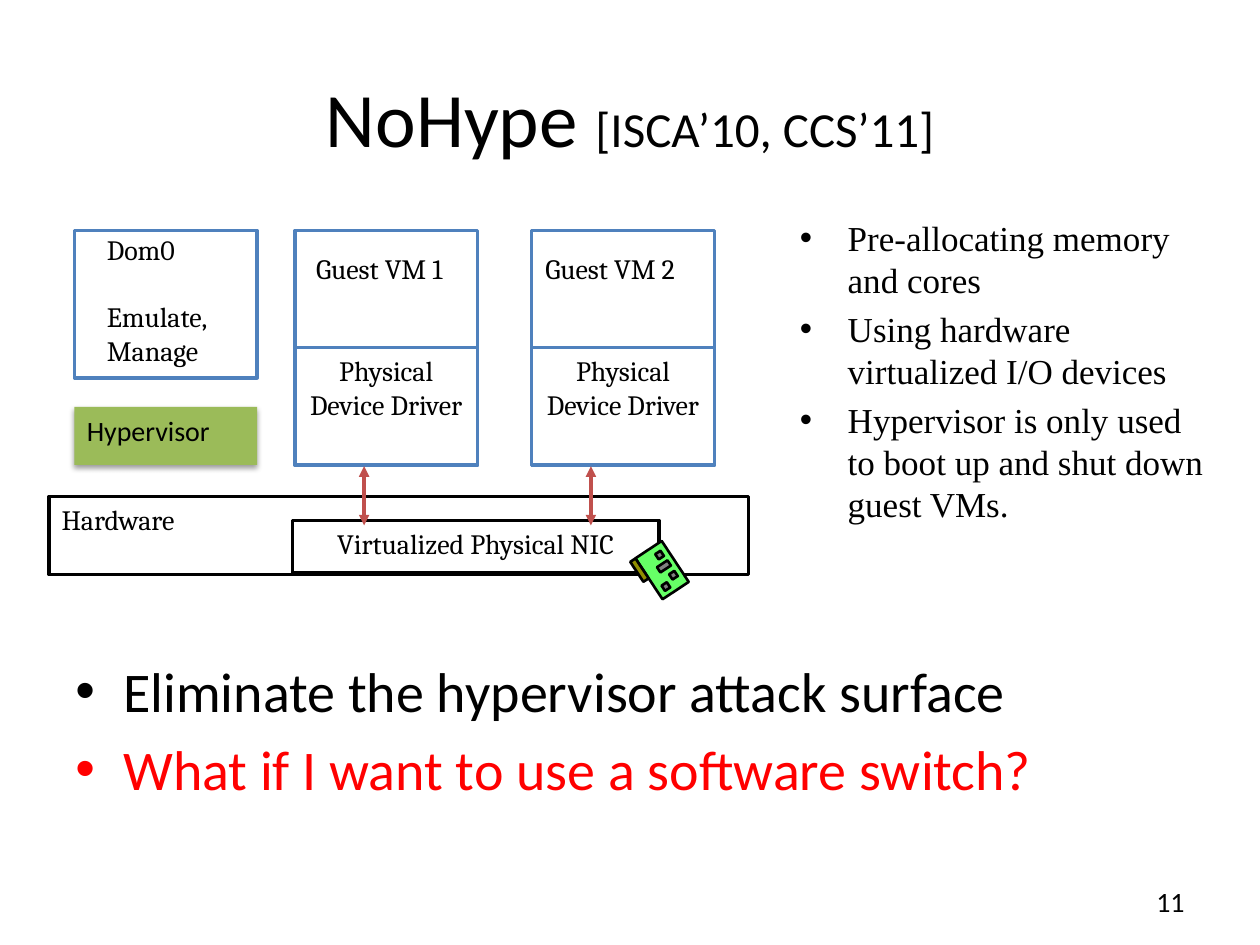
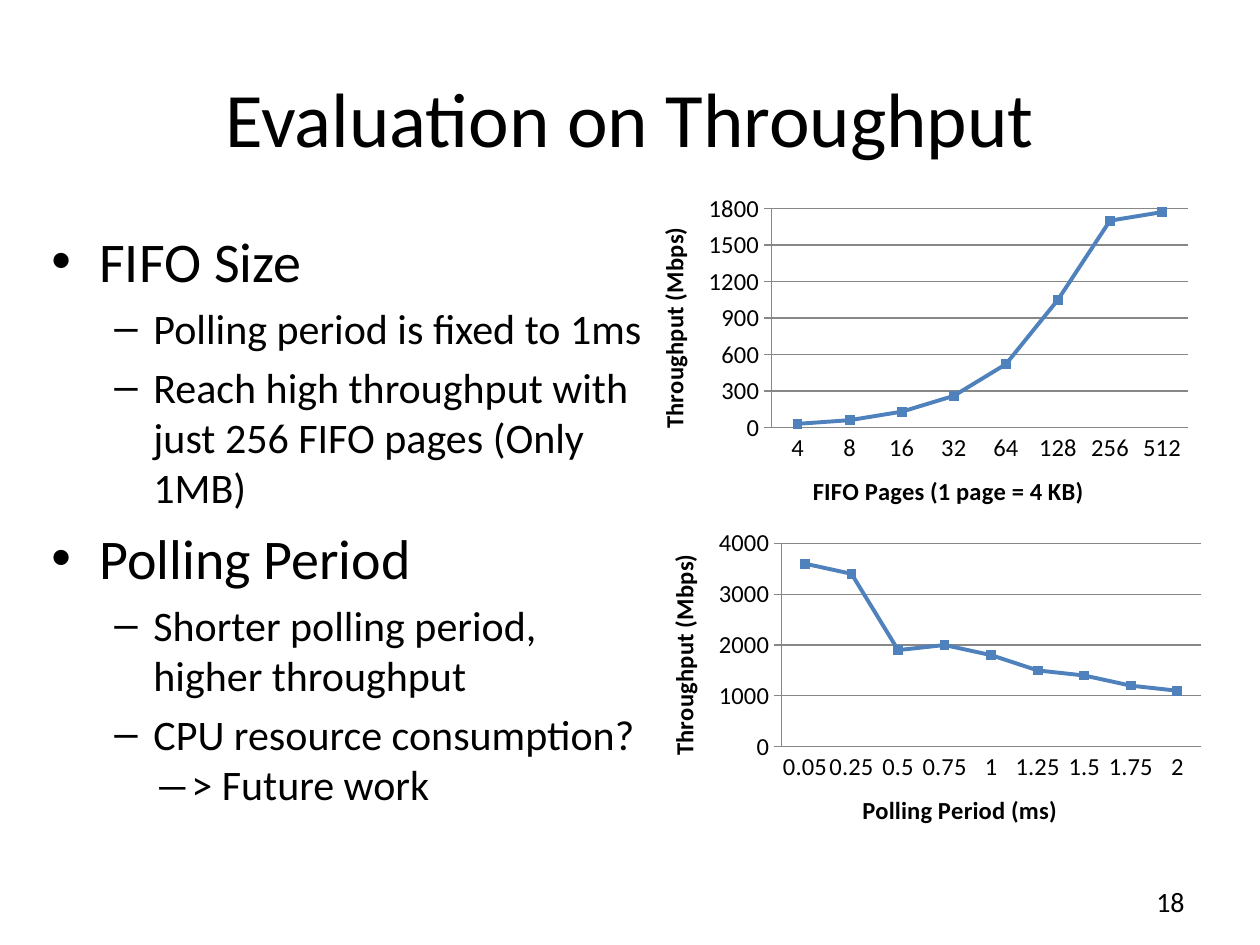
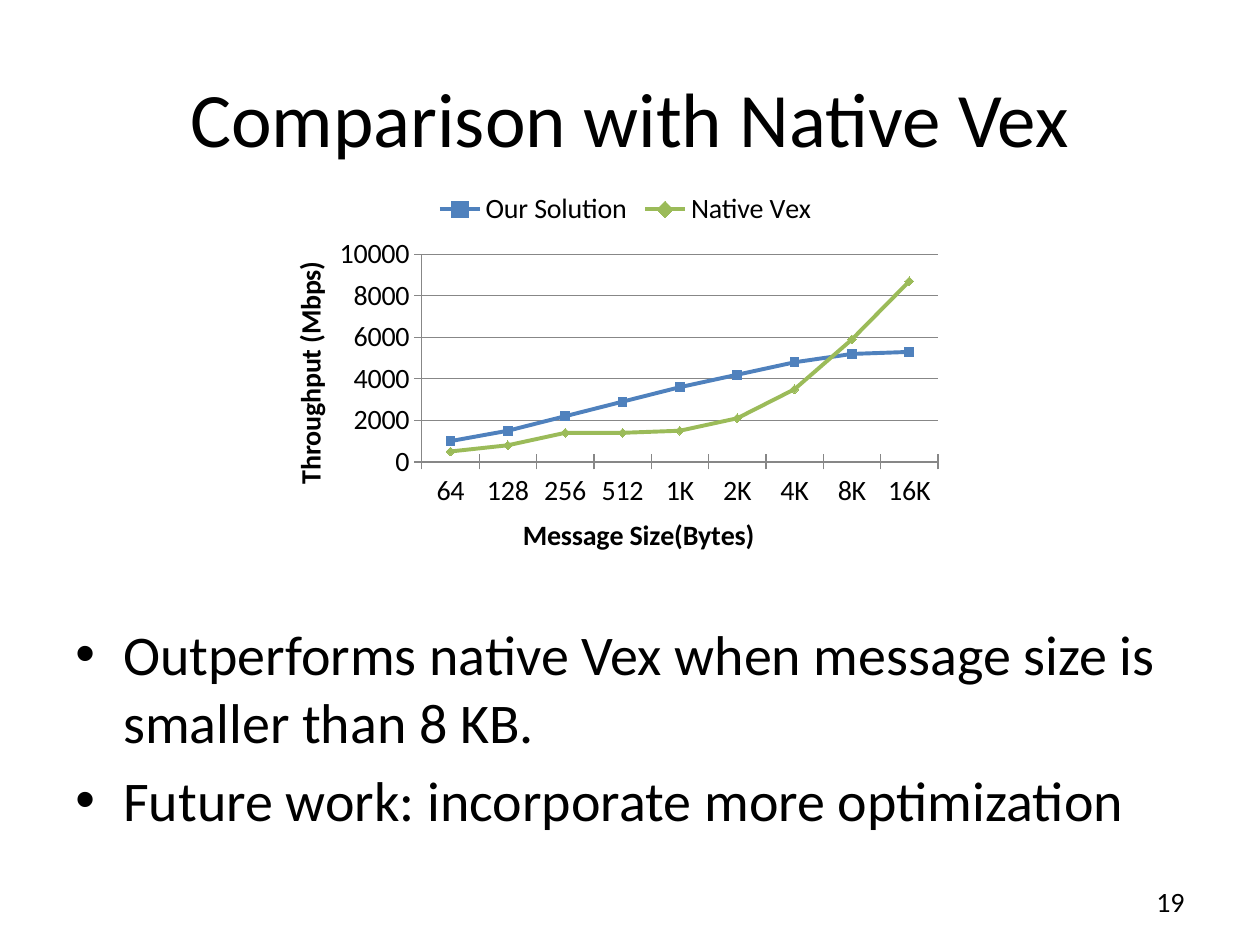
from lxml import etree
from pptx import Presentation
from pptx import util as u
from pptx.chart import data as chart_data
from pptx.dml import color
from pptx.enum import chart as chart_enum
from pptx.enum import shapes, text
from pptx.oxml import ns

BLACK = color.RGBColor(0x00, 0x00, 0x00)
WHITE = color.RGBColor(0xFF, 0xFF, 0xFF)
RED = color.RGBColor(0xFF, 0x00, 0x00)
BLUE = color.RGBColor(0x4F, 0x81, 0xBD)
GREEN = color.RGBColor(0x9B, 0xBB, 0x59)
BRICK = color.RGBColor(0xC0, 0x50, 0x4D)
AXIS_GRAY = color.RGBColor(0x87, 0x87, 0x87)
CARD_GREEN = color.RGBColor(0x66, 0xFF, 0x66)
CARD_OLIVE = color.RGBColor(0x91, 0x8E, 0x00)
CHIP_GRAY = color.RGBColor(0x80, 0x80, 0x80)

SANS, SERIF, TIMES = "Calibri", "Cambria", "Times New Roman"
LABEL_SIZE = 16
BULLET_LEVELS = [(0.38, -0.38, "•"), (0.81, -0.31, "–")]
CARD_ROTATION = 326.6
CENTER, RIGHT = text.PP_ALIGN.CENTER, text.PP_ALIGN.RIGHT


def inches(*lengths):
    return [u.Inches(length) for length in lengths]


def add_xml(parent, tag, **attributes):
    return etree.SubElement(parent, ns.qn(tag), attributes)


class Deck:
    def __init__(self):
        self.presentation = Presentation()
        self.presentation.slide_width, self.presentation.slide_height = inches(10, 7.5)
        self.slide = None

    def style(self, font, size, font_color=BLACK, name=SANS):
        font.size = u.Pt(size)
        font.name = name
        font.color.rgb = font_color

    def start_slide(self, title, number, citation=None):
        self.slide = self.presentation.slides.add_slide(self.presentation.slide_layouts[5])
        shape = self.slide.shapes.title
        shape.left, shape.top, shape.width, shape.height = inches(0.5, 0.3, 9, 1.25)
        shape.text_frame.vertical_anchor = text.MSO_ANCHOR.MIDDLE
        paragraph = shape.text_frame.paragraphs[0]
        paragraph.alignment = CENTER
        self.style(paragraph.font, 44)
        paragraph.add_run().text = title
        if citation:
            run = paragraph.add_run()
            run.text = citation
            run.font.size = u.Pt(28)
        page = self.label((7.17, 6.95, 2.33, 0.4), str(number), SANS, RIGHT)
        page.text_frame.vertical_anchor = text.MSO_ANCHOR.MIDDLE

    def set_words(self, shape, words, name, alignment=None):
        shape.text_frame.word_wrap = True
        shape.text_frame.text = words
        for paragraph in shape.text_frame.paragraphs:
            paragraph.alignment = alignment
            self.style(paragraph.font, LABEL_SIZE, name=name)

    def label(self, box, words, name=SERIF, alignment=None):
        shape = self.slide.shapes.add_textbox(*inches(*box))
        self.set_words(shape, words, name, alignment)
        return shape

    def bullets(self, box, items, sizes=(32, 24), name=SANS):
        frame = self.slide.shapes.add_textbox(*inches(*box)).text_frame
        frame.word_wrap = True
        for index, (level, words, font_color) in enumerate(items):
            paragraph = frame.add_paragraph() if index else frame.paragraphs[0]
            paragraph.text = words
            paragraph.level = level
            paragraph.space_before = u.Pt(sizes[level] * 0.2 if index else 0)
            self.style(paragraph.font, sizes[level], font_color, name)
            margin, indent, mark = BULLET_LEVELS[level]
            properties = paragraph._p.get_or_add_pPr()
            properties.set("marL", str(u.Inches(margin)))
            properties.set("indent", str(u.Inches(indent)))
            bullet_font = etree.Element(ns.qn("a:buFont"), typeface="Arial")
            bullet_mark = etree.Element(ns.qn("a:buChar"), char=mark)
            properties.find(ns.qn("a:defRPr")).addprevious(bullet_font)
            bullet_font.addnext(bullet_mark)

    def box(self, box, fill=WHITE, line=BLUE, words="", name=SERIF, alignment=None,
            weight=2, rotation=0):
        shape = self.slide.shapes.add_shape(shapes.MSO_SHAPE.RECTANGLE, *inches(*box))
        shape.shadow.inherit = False
        shape.rotation = rotation
        shape.fill.solid()
        shape.fill.fore_color.rgb = fill
        if line is None:
            shape.line.fill.background()
        else:
            shape.line.color.rgb = line
            shape.line.width = u.Pt(weight)
        if words:
            shape.text_frame.vertical_anchor = text.MSO_ANCHOR.TOP
            self.set_words(shape, words, name, alignment or text.PP_ALIGN.LEFT)
        return shape

    def drop_shadow(self, shape):
        effects = shape._element.spPr.find(ns.qn("a:effectLst"))
        shadow = add_xml(effects, "a:outerShdw", blurRad="40000", dist="20000",
                         dir="5400000", rotWithShape="0")
        shade = add_xml(shadow, "a:srgbClr", val=str(BLACK))
        add_xml(shade, "a:alpha", val="38000")

    def double_arrow(self, x, top, bottom):
        connector = self.slide.shapes.add_connector(
            shapes.MSO_CONNECTOR.STRAIGHT, *inches(x, top, x, bottom))
        connector.line.color.rgb = BRICK
        connector.line.width = u.Pt(2)
        line = connector.line._get_or_add_ln()
        add_xml(line, "a:headEnd", type="triangle")
        add_xml(line, "a:tailEnd", type="triangle")
        add_xml(connector._element.spPr, "a:effectLst")

    def line_chart(self, box, categories, series, category_title, size=14,
                   category_tick=chart_enum.XL_TICK_MARK.NONE, maximum=None, major=None):
        data = chart_data.CategoryChartData()
        data.categories = categories
        for name, values in series:
            data.add_series(name, values)
        chart = self.slide.shapes.add_chart(
            chart_enum.XL_CHART_TYPE.LINE_MARKERS, *inches(*box), data).chart
        chart.has_title = False
        chart.has_legend = False
        self.style(chart.font, size)
        chart.plots[0].vary_by_categories = False

        value_axis, category_axis = chart.value_axis, chart.category_axis
        value_axis.maximum_scale = maximum
        value_axis.major_unit = major
        value_axis.has_major_gridlines = True
        value_axis.major_tick_mark = chart_enum.XL_TICK_MARK.CROSS
        category_axis.major_tick_mark = category_tick
        for axis, title in ((value_axis, "Throughput (Mbps)"), (category_axis, category_title)):
            paragraph = axis.axis_title.text_frame.paragraphs[0]
            paragraph.add_run().text = title
            paragraph.font.bold = True
            self.style(paragraph.font, size)
        for line in (value_axis.format.line, category_axis.format.line,
                     value_axis.major_gridlines.format.line):
            line.color.rgb = AXIS_GRAY
            line.width = u.Pt(0.75)

        looks = ((BLUE, chart_enum.XL_MARKER_STYLE.SQUARE),
                 (GREEN, chart_enum.XL_MARKER_STYLE.DIAMOND))
        for plotted, (series_color, marker_style) in zip(chart.plots[0].series, looks):
            plotted.smooth = False
            plotted.format.line.color.rgb = series_color
            plotted.format.line.width = u.Pt(2.25)
            marker = plotted.marker
            marker.style = marker_style
            marker.size = 5
            marker.format.fill.solid()
            marker.format.fill.fore_color.rgb = series_color
            marker.format.line.color.rgb = series_color
        return chart

    def place_plot(self, chart, **fractions):
        plot_area = chart._chartSpace.chart.plotArea
        for layout in plot_area.findall(ns.qn("c:layout")):
            plot_area.remove(layout)
        layout = etree.Element(ns.qn("c:layout"))
        plot_area.insert(0, layout)
        manual = add_xml(layout, "c:manualLayout")
        add_xml(manual, "c:layoutTarget", val="inner")
        for mode in ("xMode", "yMode"):
            add_xml(manual, "c:" + mode, val="edge")
        for key, fraction in fractions.items():
            add_xml(manual, "c:" + key, val=str(fraction))


def build_nohype(deck):
    deck.start_slide("NoHype ", 11, "[ISCA’10, CCS’11]")
    deck.bullets((0.5, 5.16, 9, 1.54), [
        (0, "Eliminate the hypervisor attack surface", BLACK),
        (0, "What if I want to use a software switch?", RED)])
    deck.bullets((6.25, 1.67, 3.44, 4.35), [
        (0, "Pre-allocating memory and cores", BLACK),
        (0, "Using hardware virtualized I/O devices", BLACK),
        (0, "Hypervisor is only used to boot up and shut down guest VMs.", BLACK),
    ], sizes=(20,), name=TIMES)

    hypervisor = deck.box((0.59, 3.23, 1.45, 0.46), GREEN, None, "Hypervisor", SANS)
    deck.drop_shadow(hypervisor)
    deck.box((0.59, 1.83, 1.45, 1.17))
    management = deck.label((0.75, 1.8, 1.52, 1.02), "Dom0\nEmulate,\nManage")
    management.text_frame.paragraphs[1].space_before = u.Pt(19)

    deck.box((0.39, 3.94, 5.55, 0.62), line=BLACK, words="Hardware")
    deck.box((2.32, 4.13, 2.91, 0.42), line=BLACK, words="Virtualized Physical NIC",
             alignment=CENTER)
    card_parts = [
        ((5.13, 4.33, 0.25, 0.39), CARD_GREEN),
        ((5.05, 4.43, 0.05, 0.19), CARD_OLIVE),
        ((5.21, 4.38, 0.05, 0.05), CHIP_GRAY),
        ((5.32, 4.54, 0.05, 0.05), CHIP_GRAY),
        ((5.22, 4.47, 0.1, 0.05), CHIP_GRAY),
        ((5.26, 4.63, 0.05, 0.05), CHIP_GRAY)]
    for part, fill in card_parts:
        deck.box(part, fill, BLACK, weight=1.5, rotation=CARD_ROTATION)

    guests = [("Guest VM 1", 2.34, 2.41, 2.89), ("Guest VM 2", 4.22, 4.23, 4.69)]
    for guest, left, label_left, arrow_x in guests:
        deck.box((left, 1.83, 1.45, 1.86))
        deck.box((left, 2.76, 1.45, 0.93), words="Physical Device Driver", alignment=CENTER)
        deck.label((label_left, 1.95, 1.45, 0.34), guest)
        deck.double_arrow(arrow_x, 3.7, 4.17)


def build_throughput(deck):
    deck.start_slide("Evaluation on Throughput", 18)
    deck.bullets((0.31, 1.75, 4.97, 4.95), [
        (0, "FIFO Size", BLACK),
        (1, "Polling period is fixed to 1ms", BLACK),
        (1, "Reach high throughput with just 256 FIFO pages (Only 1MB)", BLACK),
        (0, "Polling Period", BLACK),
        (1, "Shorter polling period, higher throughput", BLACK),
        (1, "CPU resource consumption? ―> Future work", BLACK)])
    deck.line_chart(
        (5, 1.48, 4.52, 2.77), ["4", "8", "16", "32", "64", "128", "256", "512"],
        [("Series 1", (30, 60, 130, 260, 520, 1050, 1700, 1770))],
        "FIFO Pages (1 page = 4 KB)", maximum=1800, major=300)
    deck.line_chart(
        (5.08, 4.14, 4.54, 2.64),
        ["0.05", "0.25", "0.5", "0.75", "1", "1.25", "1.5", "1.75", "2"],
        [("Series 1", (3600, 3400, 1900, 2000, 1800, 1500, 1400, 1200, 1100))],
        "Polling Period (ms)")


def build_comparison(deck):
    deck.start_slide("Comparison with Native Vex", 19)
    deck.bullets((0.5, 4.87, 9, 2.1), [
        (0, "Outperforms native Vex when message size is smaller than 8 KB.", BLACK),
        (0, "Future work: incorporate more optimization", BLACK)])
    chart = deck.line_chart(
        (2.27, 1.41, 5.39, 3.05),
        ["64", "128", "256", "512", "1K", "2K", "4K", "8K", "16K"],
        [("Our Solution", (1000, 1500, 2200, 2900, 3600, 4200, 4800, 5200, 5300)),
         ("Native Vex", (500, 800, 1400, 1400, 1500, 2100, 3500, 5900, 8700))],
        "Message Size(Bytes)", size=16, category_tick=chart_enum.XL_TICK_MARK.CROSS)
    chart.has_legend = True
    chart.legend.position = chart_enum.XL_LEGEND_POSITION.TOP
    chart.legend.include_in_layout = False
    deck.style(chart.legend.font, 16)
    deck.place_plot(chart, x=0.2, y=0.2, w=0.76, h=0.54)


def main():
    deck = Deck()
    build_nohype(deck)
    build_throughput(deck)
    build_comparison(deck)
    deck.presentation.save("out.pptx")


if __name__ == "__main__":
    main()
